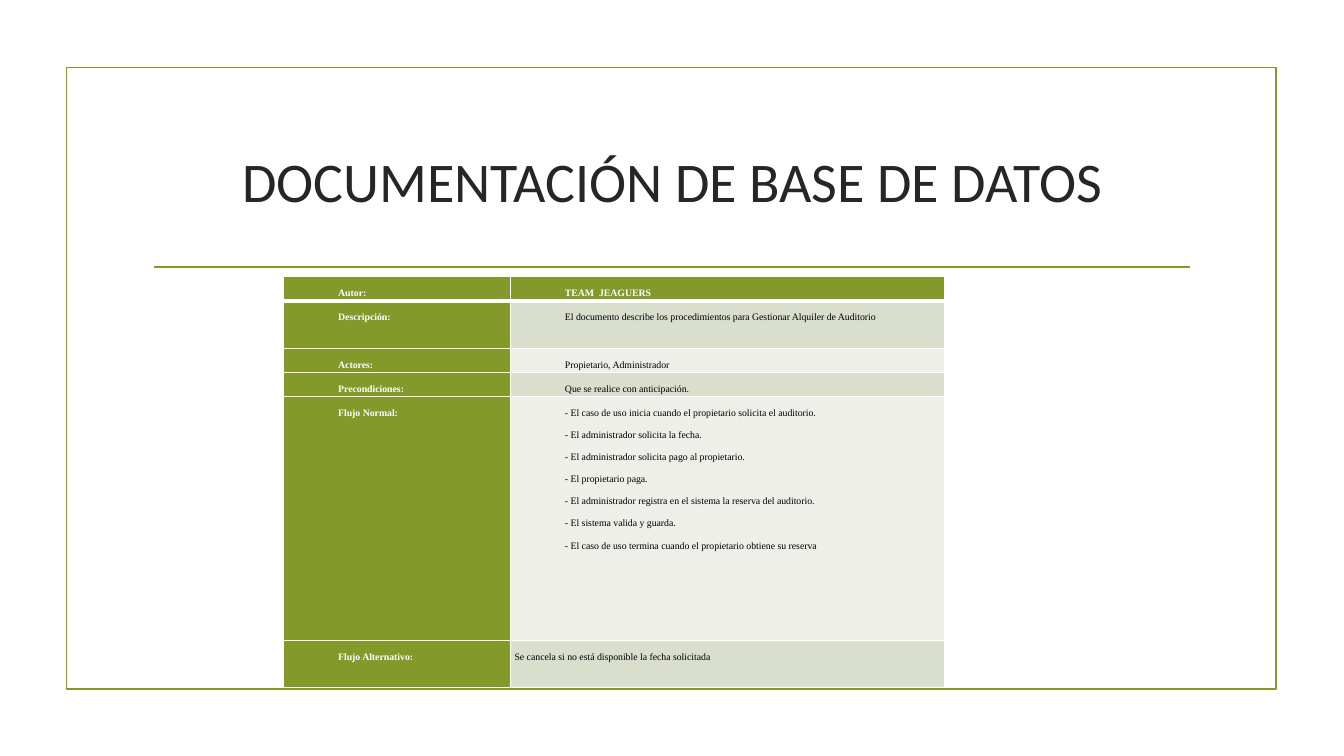
from dataclasses import dataclass
from typing import NamedTuple

from lxml.etree import SubElement as Sub
from pptx import Presentation
from pptx.dml.color import RGBColor as Rgb
from pptx.enum.shapes import MSO_CONNECTOR as Conn, MSO_SHAPE as Shape
from pptx.enum.text import MSO_ANCHOR as Anchor, PP_ALIGN as Align
from pptx.oxml import parse_xml
from pptx.oxml.ns import nsdecls, qn
from pptx.util import Pt


@dataclass(frozen=True)
class Theme:
    green: str = "83992A"
    ink: str = "262626"
    black: str = "000000"
    white: str = "FFFFFF"
    bands: tuple[str, str] = ("EDEFE8", "D9DECD")
    head: str = "Calibri"
    body: str = "Times New Roman"
    big: float = 40
    small: float = 7
    line: float = 1.25
    edge: float = 1
    thick: float = 3


class Box(NamedTuple):
    left: float
    top: float
    width: float
    height: float

    def pts(self) -> list[Pt]:
        return [Pt(v) for v in self]


class Row(NamedTuple):
    label: str
    lines: list[str]
    height: float
    indent: float = 36


THEME = Theme()
FRAME = Box(47.5, 48.2, 864, 444.2)
TITLE = Box(102.2, 77, 756, 103)
GRID = Box(202.6, 197.6, 472.3, 293)
COLS = (162, 310.3)
ROWS = [
    Row("Autor:", ["TEAM  JEAGUERS"], 17.2),
    Row("Descripción:", ["El documento describe los procedimientos para "
                         "Gestionar Alquiler de Auditorio"], 34.3),
    Row("Actores:", ["Propietario, Administrador"], 17.2),
    Row("Precondiciones:", ["Que se realice con anticipación."], 17.2),
    Row("Flujo Normal:", [
        "- El caso de uso inicia cuando el propietario solicita el auditorio.",
        "- El administrador solicita la fecha.",
        "- El administrador solicita pago al propietario.",
        "- El propietario paga.",
        "- El administrador registra en el sistema la reserva del auditorio.",
        "- El sistema valida y guarda.",
        "- El caso de uso termina cuando el propietario obtiene su reserva",
    ], 174.2),
    Row("Flujo Alternativo:",
        ["Se cancela si no está disponible la fecha solicitada"], 33.2, 0),
]


def rgb(code: str) -> Rgb:
    return Rgb.from_string(code)


def style(para, face: str, size: float, color: str, bold: bool = False) -> None:
    font = para.font
    font.name, font.size, font.bold = face, Pt(size), bold
    font.color.rgb = rgb(color)


def stroke(item) -> None:
    item.line.color.rgb = rgb(THEME.green)
    item.line.width = Pt(THEME.line)


def add_frame(slide) -> None:
    frame = slide.shapes.add_shape(Shape.RECTANGLE, *FRAME.pts())
    frame.shadow.inherit = False
    frame.fill.background()
    stroke(frame)


def add_rule(slide) -> None:
    ends = [Pt(v) for v in (110.2, 190.8, 850.3, 190.8)]
    rule = slide.shapes.add_connector(Conn.STRAIGHT, *ends)
    stroke(rule)
    Sub(rule._element.spPr, qn("a:effectLst"))


def add_title(slide, text: str) -> None:
    frame = slide.shapes.add_textbox(*TITLE.pts()).text_frame
    frame.word_wrap = True
    frame.vertical_anchor = Anchor.MIDDLE
    para = frame.paragraphs[0]
    para.text, para.alignment = text, Align.CENTER
    style(para, THEME.head, THEME.big, THEME.ink)


def add_edges(cell, above: float, below: float) -> None:
    props = cell._tc.get_or_add_tcPr()
    sides = {"L": THEME.edge, "R": THEME.edge, "T": above, "B": below}
    for spot, (side, width) in enumerate(sides.items()):
        props.insert(spot, parse_xml(
            f'<a:ln{side} {nsdecls("a")} w="{Pt(width)}"><a:solidFill>'
            f'<a:srgbClr val="{THEME.white}"/></a:solidFill></a:ln{side}>'))


def fill_cell(cell, lines: list[str], fill: str, color: str,
              bold: bool, indent: float) -> None:
    cell.fill.solid()
    cell.fill.fore_color.rgb = rgb(fill)
    cell.margin_left = cell.margin_right = Pt(3)
    cell.margin_top = cell.margin_bottom = 0
    frame = cell.text_frame
    frame.text = "\n".join(lines)
    for para in frame.paragraphs:
        para.alignment = Align.JUSTIFY
        para.line_spacing, para.space_before = 2.0, Pt(0.2)
        para._p.get_or_add_pPr().set("marL", str(Pt(indent)))
        style(para, THEME.body, THEME.small, color, bold)


def add_grid(slide) -> None:
    grid = slide.shapes.add_table(len(ROWS), len(COLS), *GRID.pts()).table
    grid.horz_banding = False
    for col, width in zip(grid.columns, COLS):
        col.width = Pt(width)
    for n, row in enumerate(ROWS):
        grid.rows[n].height = Pt(row.height)
        label, value = grid.cell(n, 0), grid.cell(n, 1)
        top = n == 0
        fill_cell(label, [row.label], THEME.green, THEME.white, True, 36)
        fill_cell(value, row.lines,
                  THEME.green if top else THEME.bands[n % 2],
                  THEME.white if top else THEME.black, top, row.indent)
        # A thick edge parts the first row from the rest
        for cell in (label, value):
            add_edges(cell, THEME.thick if n == 1 else THEME.edge,
                      THEME.thick if top else THEME.edge)


def main() -> None:
    deck = Presentation()
    deck.slide_width, deck.slide_height = Pt(960), Pt(540)
    slide = deck.slides.add_slide(deck.slide_layouts[6])
    # Frame and rule
    add_frame(slide)
    add_rule(slide)
    # Title and use case table
    add_title(slide, "DOCUMENTACIÓN DE BASE DE DATOS")
    add_grid(slide)
    deck.save("out.pptx")


if __name__ == "__main__":
    main()
